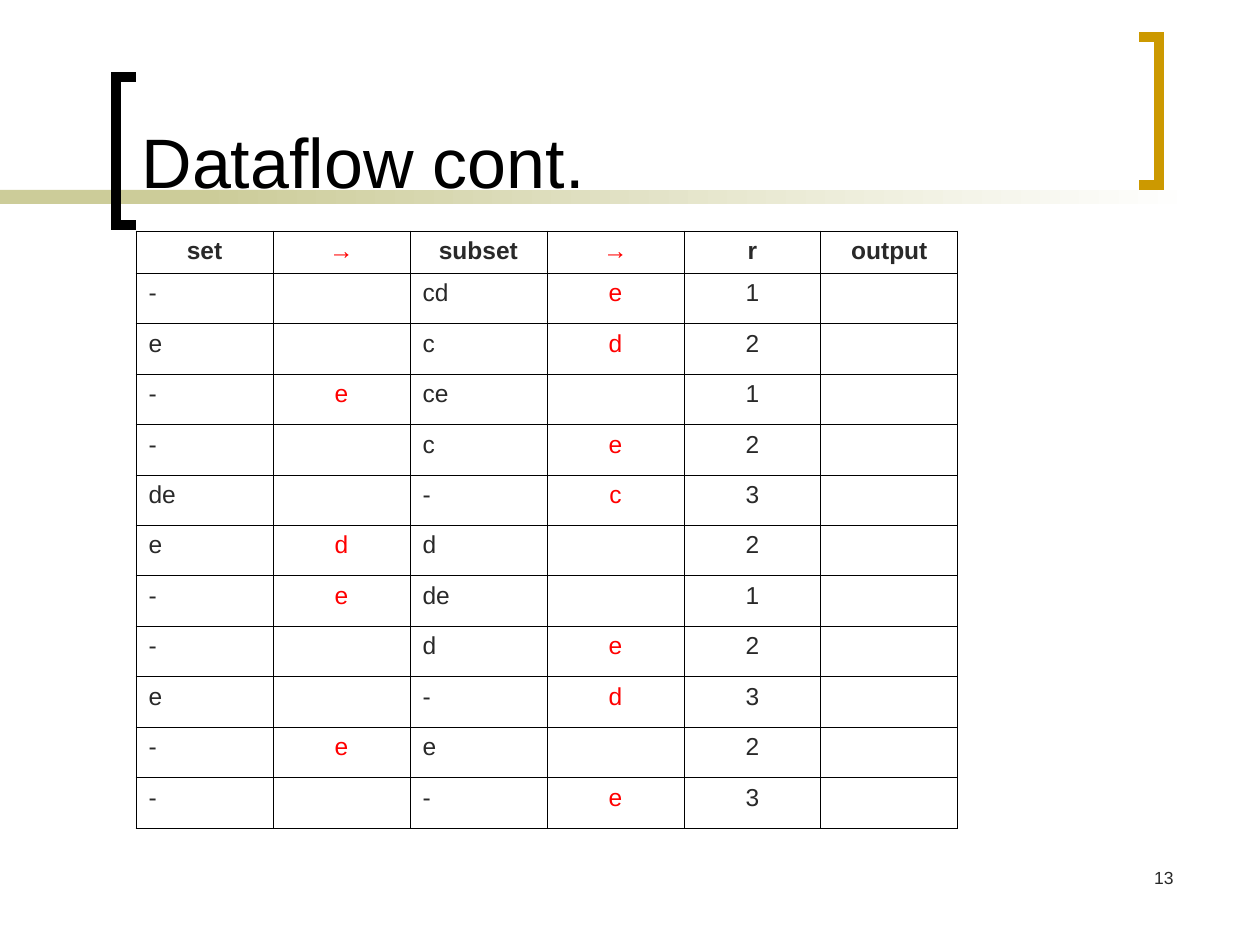
from dataclasses import dataclass

import pptx
import pptx.dml.color
import pptx.enum.dml
import pptx.enum.shapes
import pptx.enum.text
import pptx.oxml
import pptx.oxml.ns
import pptx.util

EMU_PER_PX = 914400 / 126
ALIGN = pptx.enum.text.PP_ALIGN
INK, RED, BLACK, GOLD, OLIVE, WHITE = (
    "292929", "FF0000", "000000", "CC9900", "CCCC99", "FFFFFF")

HEADER = ["set", "→", "subset", "→", "r", "output"]
STEPS = [
    ["-", "", "cd", "e", "1", ""],
    ["e", "", "c", "d", "2", ""],
    ["-", "e", "ce", "", "1", ""],
    ["-", "", "c", "e", "2", ""],
    ["de", "", "-", "c", "3", ""],
    ["e", "d", "d", "", "2", ""],
    ["-", "e", "de", "", "1", ""],
    ["-", "", "d", "e", "2", ""],
    ["e", "", "-", "d", "3", ""],
    ["-", "e", "e", "", "2", ""],
    ["-", "", "-", "e", "3", ""],
]
LEFT_ALIGNED_COLUMNS = {0, 2}
ARROW_COLUMNS = {1, 3}
COLUMN_WIDTH, HEADER_HEIGHT, STEP_HEIGHT = 137, 42, 48


@dataclass(frozen=True)
class Band:
    left: int
    width: int
    end_color: str


@dataclass(frozen=True)
class Bracket:
    tip_x: int
    spine_x: int
    top: int
    color: str


BANDS = [Band(0, 294, OLIVE), Band(199, 998, WHITE)]
BRACKETS = [Bracket(136, 116, 77, BLACK), Bracket(1139, 1159, 37, GOLD)]
BRACKET_HEIGHT = 148


def px(length: int) -> pptx.util.Emu:
    return pptx.util.Emu(round(length * EMU_PER_PX))


def rgb(color: str) -> pptx.dml.color.RGBColor:
    return pptx.dml.color.RGBColor.from_string(color)


def write(frame, text: str, *, size: int, color: str = INK,
          bold: bool = False, align=ALIGN.LEFT) -> None:
    paragraph = frame.paragraphs[0]
    paragraph.alignment = align
    run = paragraph.add_run()
    run.text = text
    run.font.name = "Arial"
    run.font.size = pptx.util.Pt(size)
    run.font.bold = bold
    run.font.color.rgb = rgb(color)


def draw_band(slide, band: Band) -> None:
    """Draw a strip of the title rule, fading from olive to its end colour."""
    strip = slide.shapes.add_shape(
        pptx.enum.shapes.MSO_SHAPE.RECTANGLE,
        px(band.left), px(190), px(band.width), px(14))
    strip.shadow.inherit = False
    strip.line.fill.background()
    if band.end_color == OLIVE:
        strip.fill.solid()
        strip.fill.fore_color.rgb = rgb(OLIVE)
        return
    strip.fill.gradient()
    strip.fill.gradient_angle = 0
    for stop, color in zip(strip.fill.gradient_stops, (OLIVE, band.end_color)):
        stop.color.rgb = rgb(color)


def draw_bracket(slide, bracket: Bracket) -> None:
    bottom = bracket.top + BRACKET_HEIGHT
    builder = slide.shapes.build_freeform(px(bracket.tip_x), px(bracket.top))
    corners = [(bracket.spine_x, bracket.top), (bracket.spine_x, bottom),
               (bracket.tip_x, bottom)]
    builder.add_line_segments([(px(x), px(y)) for x, y in corners], close=False)
    outline = builder.convert_to_shape()
    outline.shadow.inherit = False
    outline.fill.background()
    outline.line.color.rgb = rgb(bracket.color)
    outline.line.width = pptx.util.Pt(6)
    miter = pptx.oxml.parse_xml(
        f'<a:miter {pptx.oxml.ns.nsdecls("a")} lim="800000"/>')
    outline.line._get_or_add_ln().append(miter)


def add_borders(cell) -> None:
    properties = cell._tc.get_or_add_tcPr()
    for index, side in enumerate(("lnL", "lnR", "lnT", "lnB")):
        properties.insert(index, pptx.oxml.parse_xml(
            f'<a:{side} {pptx.oxml.ns.nsdecls("a")} w="5715"><a:solidFill>'
            f'<a:srgbClr val="{BLACK}"/></a:solidFill></a:{side}>'))


def draw_table(slide) -> None:
    rows = [HEADER, *STEPS]
    height = HEADER_HEIGHT + STEP_HEIGHT * len(STEPS)
    table = slide.shapes.add_table(
        len(rows), len(HEADER), px(136), px(231),
        px(COLUMN_WIDTH * len(HEADER)), px(height)).table
    table.horz_banding = False
    for column in table.columns:
        column.width = px(COLUMN_WIDTH)
    for row_index, texts in enumerate(rows):
        is_header = row_index == 0
        table.rows[row_index].height = px(HEADER_HEIGHT if is_header else STEP_HEIGHT)
        for column_index, text in enumerate(texts):
            cell = table.cell(row_index, column_index)
            cell.fill.background()
            add_borders(cell)
            if not text:
                continue
            is_left = column_index in LEFT_ALIGNED_COLUMNS and not is_header
            write(cell.text_frame, text, size=14, bold=is_header,
                  color=RED if column_index in ARROW_COLUMNS else INK,
                  align=ALIGN.LEFT if is_left else ALIGN.CENTER)


def draw_title(slide) -> None:
    title = slide.shapes.title
    title.left, title.top, title.width, title.height = (
        px(129), px(14), px(987), px(195))
    title.text_frame.vertical_anchor = pptx.enum.text.MSO_ANCHOR.BOTTOM
    write(title.text_frame, "Dataflow cont.", size=40, color=BLACK)
    slide.shapes._spTree.append(title._element)  # in front of the rule


def draw_page_number(slide) -> None:
    page_number = slide.shapes.add_textbox(px(924), px(861), px(262), px(63))
    page_number.text_frame.word_wrap = True
    write(page_number.text_frame, "13", size=10, align=ALIGN.RIGHT)


def main() -> None:
    deck = pptx.Presentation()
    deck.slide_width, deck.slide_height = px(1260), px(945)
    slide = deck.slides.add_slide(deck.slide_layouts.get_by_name("Title Only"))
    for band in BANDS:
        draw_band(slide, band)
    for bracket in BRACKETS:
        draw_bracket(slide, bracket)
    draw_page_number(slide)
    draw_table(slide)
    draw_title(slide)
    deck.save("out.pptx")


if __name__ == "__main__":
    main()
